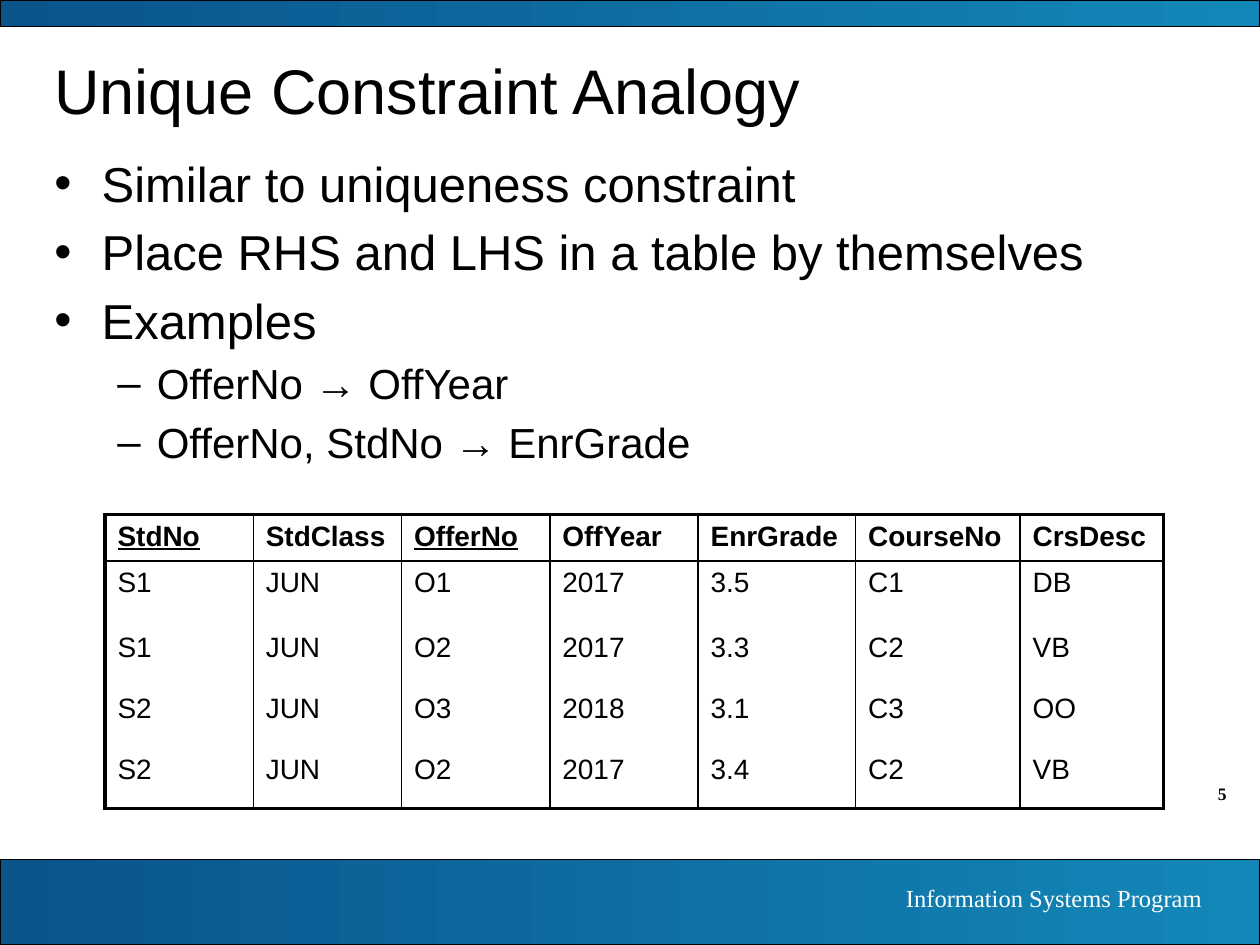
from lxml import etree
from pptx import Presentation
from pptx import util as u
from pptx.dml.color import RGBColor
from pptx.enum import shapes, text
from pptx.oxml.ns import qn

BLACK, WHITE = "000000", "FFFFFF"
BAND_COLORS = ("0A548C", "1387B8")
SANS, SERIF = "Arial", "Times New Roman"

TITLE = "Unique Constraint Analogy"
BULLETS = [
    (0, "Similar to uniqueness constraint"),
    (0, "Place RHS and LHS in a table by themselves"),
    (0, "Examples"),
    (1, "OfferNo → OffYear"),
    (1, "OfferNo, StdNo → EnrGrade"),
]
# level: size, left margin, hanging indent, bullet
LEVELS = {0: (28, 27, 27, "•"), 1: (24, 58.5, 22.5, "–")}

ROWS = [
    ("StdNo", "StdClass", "OfferNo", "OffYear", "EnrGrade", "CourseNo", "CrsDesc"),
    ("S1", "JUN", "O1", "2017", "3.5", "C1", "DB"),
    ("S1", "JUN", "O2", "2017", "3.3", "C2", "VB"),
    ("S2", "JUN", "O3", "2018", "3.1", "C3", "OO"),
    ("S2", "JUN", "O2", "2017", "3.4", "C2", "VB"),
]
KEYS = ("StdNo", "OfferNo")
COLUMN_WIDTHS = (84.75, 84.75, 84.75, 84.75, 90, 94, 82)
ROW_HEIGHTS = (26.5, 37.25, 34.75, 34.75, 34.75)
THIN, THICK = 1, 2.25


def color(value):
    return RGBColor.from_string(value)


def points(*values):
    return [u.Pt(value) for value in values]


def add_span(para, words, size, font=SANS, ink=BLACK, bold=False, underline=False):
    span = para.add_run()
    span.text = words
    span.font.size = u.Pt(size)
    span.font.name = font
    span.font.color.rgb = color(ink)
    span.font.bold = bold
    span.font.underline = underline


def space_before(para, percent):
    """Set the space before a paragraph relative to its line height."""
    spacing = etree.SubElement(para._p.get_or_add_pPr(), qn("a:spcBef"))
    etree.SubElement(spacing, qn("a:spcPct"), val=str(percent * 1000))


def set_bullet(para, margin, hanging, bullet):
    props = para._p.get_or_add_pPr()
    props.set("marL", str(u.Pt(margin)))
    props.set("indent", str(-u.Pt(hanging)))
    etree.SubElement(props, qn("a:buFont"), typeface=SANS)
    etree.SubElement(props, qn("a:buChar"), char=bullet)


def add_box(slide, place, anchor=text.MSO_ANCHOR.TOP):
    box = slide.shapes.add_textbox(*points(*place))
    box.text_frame.word_wrap = True
    box.text_frame.vertical_anchor = anchor
    return box.text_frame


def add_band(slide, top, height):
    band = slide.shapes.add_shape(
        shapes.MSO_SHAPE.RECTANGLE, *points(0, top, 720, height))
    band.shadow.inherit = False
    band.fill.gradient()
    band.fill.gradient_angle = 0
    for stop, value, position in zip(band.fill.gradient_stops, BAND_COLORS, (0, 1)):
        stop.color.rgb = color(value)
        stop.position = position
    band.line.color.rgb = color(BLACK)
    band.line.width = u.Pt(0.75)


def set_borders(cell, widths):
    """Draw left, right, top and bottom borders; a width of 0 means none."""
    props = cell._tc.get_or_add_tcPr()
    for side, width in zip("LRTB", widths):
        line = etree.SubElement(props, qn(f"a:ln{side}"), w=str(u.Pt(width)))
        if width:
            fill = etree.SubElement(line, qn("a:solidFill"))
            etree.SubElement(fill, qn("a:srgbClr"), val=BLACK)
        else:
            etree.SubElement(line, qn("a:noFill"))


def add_enrollment_table(slide):
    place = points(60, 294, sum(COLUMN_WIDTHS), sum(ROW_HEIGHTS))
    table = slide.shapes.add_table(len(ROWS), len(COLUMN_WIDTHS), *place).table
    table.first_row = table.horz_banding = False
    for column, width in zip(table.columns, COLUMN_WIDTHS):
        column.width = u.Pt(width)
    for row, height in zip(table.rows, ROW_HEIGHTS):
        row.height = u.Pt(height)

    last_row, last_column = len(ROWS) - 1, len(COLUMN_WIDTHS) - 1
    for r, values in enumerate(ROWS):
        top = {0: THICK, 1: THIN}.get(r, 0)
        bottom = {0: THIN, last_row: THICK}.get(r, 0)
        for c, value in enumerate(values):
            cell = table.cell(r, c)
            left = THICK if c == 0 else THIN
            right = THICK if c == last_column else THIN
            set_borders(cell, (left, right, top, bottom))
            cell.fill.background()
            para = cell.text_frame.paragraphs[0]
            space_before(para, 20)
            add_span(para, value, 16, bold=r == 0, underline=value in KEYS)


def add_bullets(slide):
    frame = add_box(slide, (24, 84, 660, 354))
    for index, (level, words) in enumerate(BULLETS):
        size, margin, hanging, bullet = LEVELS[level]
        para = frame.add_paragraph() if index else frame.paragraphs[0]
        para.level = level
        space_before(para, 20)
        set_bullet(para, margin, hanging, bullet)
        add_span(para, words, size)


def main():
    deck = Presentation()
    deck.slide_width, deck.slide_height = points(720, 540)
    slide = deck.slides.add_slide(deck.slide_layouts[6])

    number = add_box(slide, (648, 444, 60, 19.5)).paragraphs[0]
    number.alignment = text.PP_ALIGN.RIGHT
    space_before(number, 50)
    add_span(number, "5", 10, SERIF, bold=True)

    add_band(slide, 491, 49)
    add_band(slide, 0, 15)

    footer = add_box(slide, (399.5, 501, 294.5, 24.5)).paragraphs[0]
    footer.alignment = text.PP_ALIGN.RIGHT
    add_span(footer, "Information Systems Program", 14, SERIF, WHITE)

    title = add_box(slide, (24, 24, 660, 54), text.MSO_ANCHOR.MIDDLE)
    add_span(title.paragraphs[0], TITLE, 36)

    add_bullets(slide)
    add_enrollment_table(slide)
    deck.save("out.pptx")


if __name__ == "__main__":
    main()
